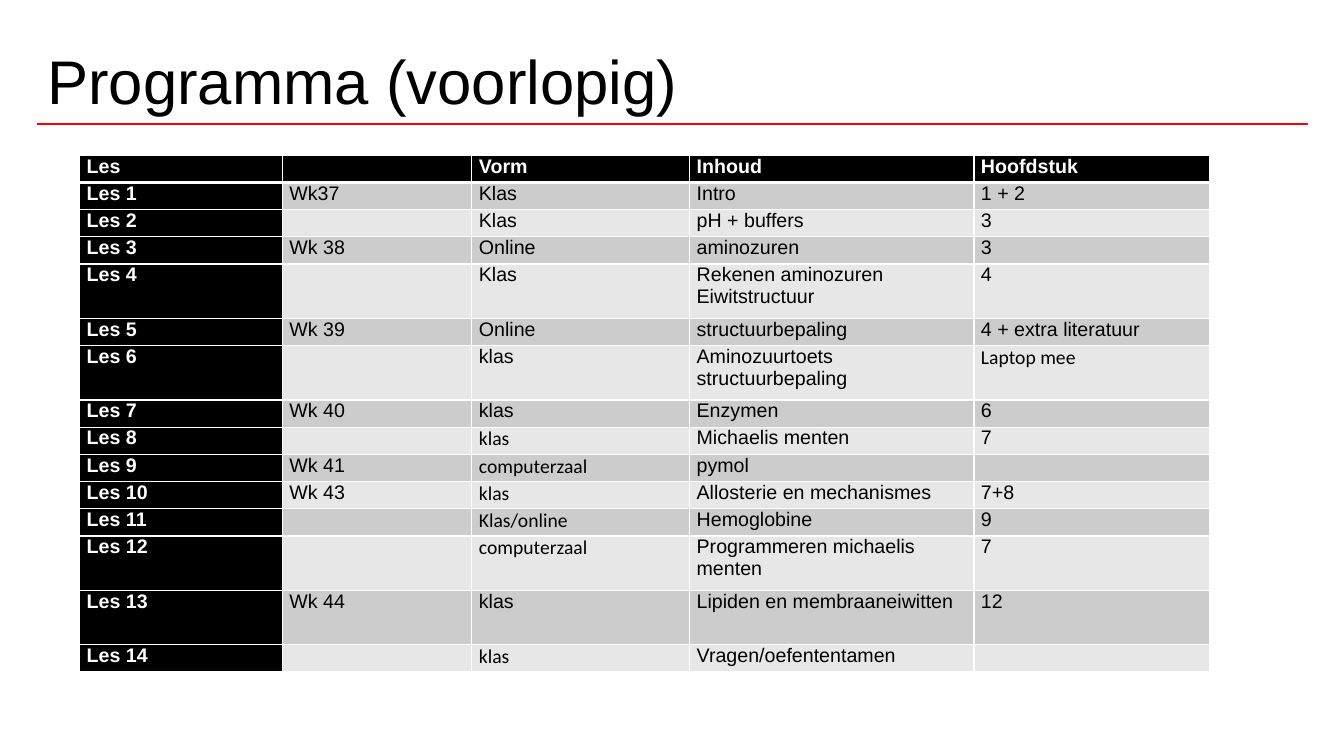
from dataclasses import dataclass

import pptx
import pptx.dml.color
import pptx.enum.shapes
import pptx.enum.text
import pptx.oxml.ns
import pptx.util
from lxml import etree
from pptx.util import Inches


@dataclass(frozen=True)
class Theme:
    black: str = "000000"
    white: str = "FFFFFF"
    red: str = "FF0000"
    odd_band: str = "CCCCCC"
    even_band: str = "E7E7E7"
    font: str = "Arial"
    alternate_font: str = "Calibri"
    title_size: int = 44
    table_size: int = 14


HEADER = ("Les", "", "Vorm", "Inhoud", "Hoofdstuk")
# Week, form, content and chapter of each lesson
LESSONS = [
    ("Wk37", "Klas", "Intro", "1 + 2"),
    ("", "Klas", "pH + buffers", "3"),
    ("Wk 38", "Online", "aminozuren", "3"),
    ("", "Klas", "Rekenen aminozuren\nEiwitstructuur", "4 "),
    ("Wk 39", "Online", "structuurbepaling", "4 + extra literatuur"),
    ("", "klas", "Aminozuurtoets\nstructuurbepaling", "Laptop mee"),
    ("Wk 40", "klas ", "Enzymen", "6"),
    ("", "klas", "Michaelis menten", "7"),
    ("Wk 41", "computerzaal", "pymol", ""),
    ("Wk 43", "klas", "Allosterie en mechanismes", "7+8"),
    ("", "Klas/online", "Hemoglobine", "9"),
    ("", "computerzaal", "Programmeren michaelis menten", "7"),
    ("Wk 44", "klas", "Lipiden en membraaneiwitten", "12"),
    ("", "klas", "Vragen/oefententamen", ""),
]
ROWS = [HEADER] + [(f"Les {number}", *lesson) for number, lesson in enumerate(LESSONS, 1)]
COLUMN_WIDTHS = (2.01, 1.88, 2.16, 2.82, 2.34)
ROW_HEIGHT = 0.27
DOUBLE_ROWS = {4, 6, 12, 13}
ALTERNATE_FONT_CELLS = {(6, 4)} | {(row, 2) for row in (8, 9, 10, 11, 12, 14)}


class SlideBuilder:
    def __init__(self, slide, theme):
        self.slide = slide
        self.theme = theme

    def color(self, value):
        return pptx.dml.color.RGBColor.from_string(value)

    def add_run(self, paragraph, text, size, color, font=None, bold=False):
        run = paragraph.add_run()
        run.text = text
        run.font.name = font or self.theme.font
        run.font.size = pptx.util.Pt(size)
        run.font.bold = bold
        run.font.color.rgb = self.color(color)

    def title(self, text, left, top, width, height):
        shape = self.slide.shapes.title
        shape.left, shape.top = Inches(left), Inches(top)
        shape.width, shape.height = Inches(width), Inches(height)
        shape.text_frame.vertical_anchor = pptx.enum.text.MSO_ANCHOR.MIDDLE
        paragraph = shape.text_frame.paragraphs[0]
        paragraph.alignment = pptx.enum.text.PP_ALIGN.LEFT
        self.add_run(paragraph, text, self.theme.title_size, self.theme.black)

    def rule(self, left, right, y, width):
        line = self.slide.shapes.add_connector(
            pptx.enum.shapes.MSO_CONNECTOR.STRAIGHT,
            Inches(left), Inches(y), Inches(right), Inches(y))
        line.line.color.rgb = self.color(self.theme.red)
        line.line.width = pptx.util.Pt(width)
        etree.SubElement(line._element.spPr, pptx.oxml.ns.qn("a:effectLst"))

    def borders(self, cell, top, bottom):
        """Draw all four cell edges; top and bottom are widths in points."""
        properties = cell._tc.get_or_add_tcPr()
        for edge, width in (("lnL", 1), ("lnR", 1), ("lnT", top), ("lnB", bottom)):
            line = etree.SubElement(properties, pptx.oxml.ns.qn(f"a:{edge}"),
                                    w=str(pptx.util.Pt(width)))
            fill = etree.SubElement(line, pptx.oxml.ns.qn("a:solidFill"))
            etree.SubElement(fill, pptx.oxml.ns.qn("a:srgbClr"), val=self.theme.white)

    def cell(self, cell, text, row, column):
        theme = self.theme
        heading = row == 0 or column == 0
        cell.margin_left = cell.margin_right = Inches(0.07)
        cell.margin_top = cell.margin_bottom = 0
        self.borders(cell, top=3 if row == 1 else 1, bottom=3 if row == 0 else 1)
        band = theme.odd_band if row % 2 else theme.even_band
        cell.fill.solid()
        cell.fill.fore_color.rgb = self.color(theme.black if heading else band)
        frame = cell.text_frame
        if not text:
            # Keeps the default text size from stretching the row
            etree.SubElement(frame.paragraphs[0]._p, pptx.oxml.ns.qn("a:endParaRPr"),
                             sz=str(theme.table_size * 100))
            return
        font = theme.alternate_font if (row, column) in ALTERNATE_FONT_CELLS else theme.font
        for index, line in enumerate(text.split("\n")):
            paragraph = frame.add_paragraph() if index else frame.paragraphs[0]
            self.add_run(paragraph, line, theme.table_size,
                         theme.white if heading else theme.black, font, heading)

    def table(self, left, top):
        heights = [ROW_HEIGHT * (2 if row in DOUBLE_ROWS else 1) for row in range(len(ROWS))]
        table = self.slide.shapes.add_table(
            len(ROWS), len(COLUMN_WIDTHS), Inches(left), Inches(top),
            Inches(sum(COLUMN_WIDTHS)), Inches(sum(heights))).table
        for column, width in zip(table.columns, COLUMN_WIDTHS):
            column.width = Inches(width)
        for row, (texts, height) in enumerate(zip(ROWS, heights)):
            table.rows[row].height = Inches(height)
            for column, text in enumerate(texts):
                self.cell(table.cell(row, column), text, row, column)


def main():
    presentation = pptx.Presentation()
    presentation.slide_width, presentation.slide_height = Inches(13.33), Inches(7.5)
    slide = presentation.slides.add_slide(presentation.slide_layouts.get_by_name("Title Only"))
    builder = SlideBuilder(slide, Theme())
    builder.rule(0.37, 12.97, 1.23, 1.5)
    builder.title("Programma (voorlopig)", 0.37, 0.36, 12.6, 0.87)
    builder.table(0.79, 1.54)
    presentation.save("out.pptx")


if __name__ == "__main__":
    main()
